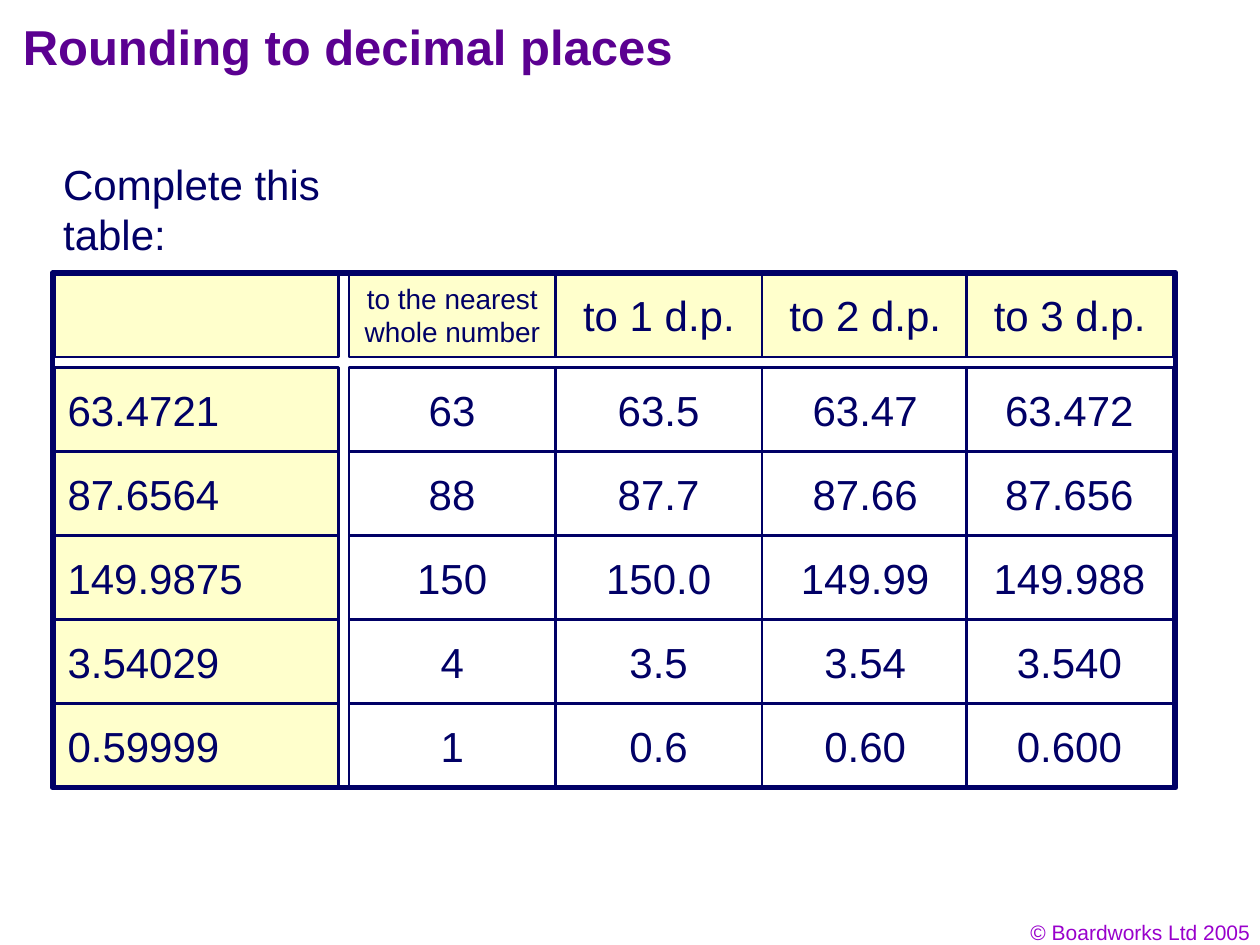
from pptx import Presentation
from pptx.dml.color import RGBColor
from pptx.enum import shapes, text
from pptx.util import Pt

NAVY = RGBColor(0x00, 0x00, 0x66)
INK = RGBColor(0x01, 0x00, 0x66)
PURPLE = RGBColor(0x5B, 0x00, 0x91)
VIOLET = RGBColor(0x99, 0x00, 0xCC)
CREAM = RGBColor(0xFF, 0xFF, 0xCC)
WHITE = RGBColor(0xFF, 0xFF, 0xFF)
LEFT, CENTER, RIGHT = text.PP_ALIGN.LEFT, text.PP_ALIGN.CENTER, text.PP_ALIGN.RIGHT

TABLE_TOP, ROW_HEIGHT, GAP = 156, 48, 6
NUMBER_LEFT, NUMBER_WIDTH = 31.5, 162
COLUMN_LEFTS, COLUMN_WIDTH = (199.5, 317.5, 435.5, 552.25), 118
ANSWER_HEIGHT = 36
HEADERS = (("to the nearest whole number", 16), ("to 1 d.p.", 24),
           ("to 2 d.p.", 24), ("to 3 d.p.", 24))
ROWS = (
    ("63.4721", "63", "63.5", "63.47", "63.472"),
    ("87.6564", "88", "87.7", "87.66", "87.656"),
    ("149.9875", "150", "150.0", "149.99", "149.988"),
    ("3.54029", "4", "3.5", "3.54", "3.540"),
    ("0.59999", "1", "0.6", "0.60", "0.600"),
)


def write(frame, words, size=24, color=INK, bold=False, align=LEFT):
    paragraph = frame.paragraphs[0]
    paragraph.alignment = align
    run = paragraph.add_run()
    run.text = words
    font = run.font
    font.name, font.size, font.bold = "Arial", Pt(size), bold
    font.color.rgb = color


def answer_width(number):
    """Width of a 24-point number, a point being half a digit, plus insets."""
    return 14.4 + 13.35 * (len(number) - number.count(".") / 2)


class Worksheet:
    def __init__(self, slide, line_color=NAVY):
        self.slide = slide
        self.line_color = line_color

    def label(self, left, top, width, height, words, wrap=True, grow=True, **style):
        box = self.slide.shapes.add_textbox(Pt(left), Pt(top), Pt(width), Pt(height))
        frame = box.text_frame
        frame.word_wrap = wrap
        if grow:
            frame.auto_size = text.MSO_AUTO_SIZE.SHAPE_TO_FIT_TEXT
        write(frame, words, **style)

    def rectangle(self, left, top, width, height, fill=None, line=1.5, words="", **style):
        shape = self.slide.shapes.add_shape(
            shapes.MSO_SHAPE.RECTANGLE, Pt(left), Pt(top), Pt(width), Pt(height))
        shape.shadow.inherit = False
        if fill is None:
            shape.fill.background()
        else:
            shape.fill.solid()
            shape.fill.fore_color.rgb = fill
        shape.line.color.rgb = self.line_color
        shape.line.width = Pt(line)
        if words:
            frame = shape.text_frame
            frame.word_wrap = True
            frame.vertical_anchor = text.MSO_ANCHOR.MIDDLE
            write(frame, words, **style)


def main():
    presentation = Presentation()
    presentation.slide_width, presentation.slide_height = Pt(720), Pt(540)
    sheet = Worksheet(presentation.slides.add_slide(presentation.slide_layouts[6]))

    sheet.label(553.75, 522, 167.75, 21.6, "© Boardworks Ltd 2005",
                size=12, color=VIOLET, align=RIGHT)
    sheet.label(6, 6, 606, 42, "Rounding to decimal places", grow=False,
                size=28, color=PURPLE, bold=True)
    sheet.label(29, 87, 226, 36, "Complete this table:", wrap=False)

    first_row = TABLE_TOP + ROW_HEIGHT + GAP
    row_tops = [first_row + index * ROW_HEIGHT for index in range(len(ROWS))]

    sheet.rectangle(NUMBER_LEFT, TABLE_TOP, NUMBER_WIDTH, ROW_HEIGHT, CREAM)
    for top, (number, *_) in zip(row_tops, ROWS):
        sheet.rectangle(NUMBER_LEFT, top, NUMBER_WIDTH, ROW_HEIGHT, CREAM,
                        words=number, color=NAVY)
    for left, (header, size) in zip(COLUMN_LEFTS, HEADERS):
        sheet.rectangle(left, TABLE_TOP, COLUMN_WIDTH, ROW_HEIGHT, CREAM,
                        words=header, size=size, color=NAVY, align=CENTER)
        for top in row_tops:
            sheet.rectangle(left, top, COLUMN_WIDTH, ROW_HEIGHT, WHITE)
    sheet.rectangle(30, TABLE_TOP, 642, row_tops[-1] + ROW_HEIGHT - TABLE_TOP, line=3)

    for top, (_, *answers) in zip(row_tops, ROWS):
        for left, answer in zip(COLUMN_LEFTS, answers):
            width = answer_width(answer)
            sheet.label(left + (COLUMN_WIDTH - width) / 2,
                        top + (ROW_HEIGHT - ANSWER_HEIGHT) / 2,
                        width, ANSWER_HEIGHT, answer, wrap=False)

    presentation.save("out.pptx")


if __name__ == "__main__":
    main()
